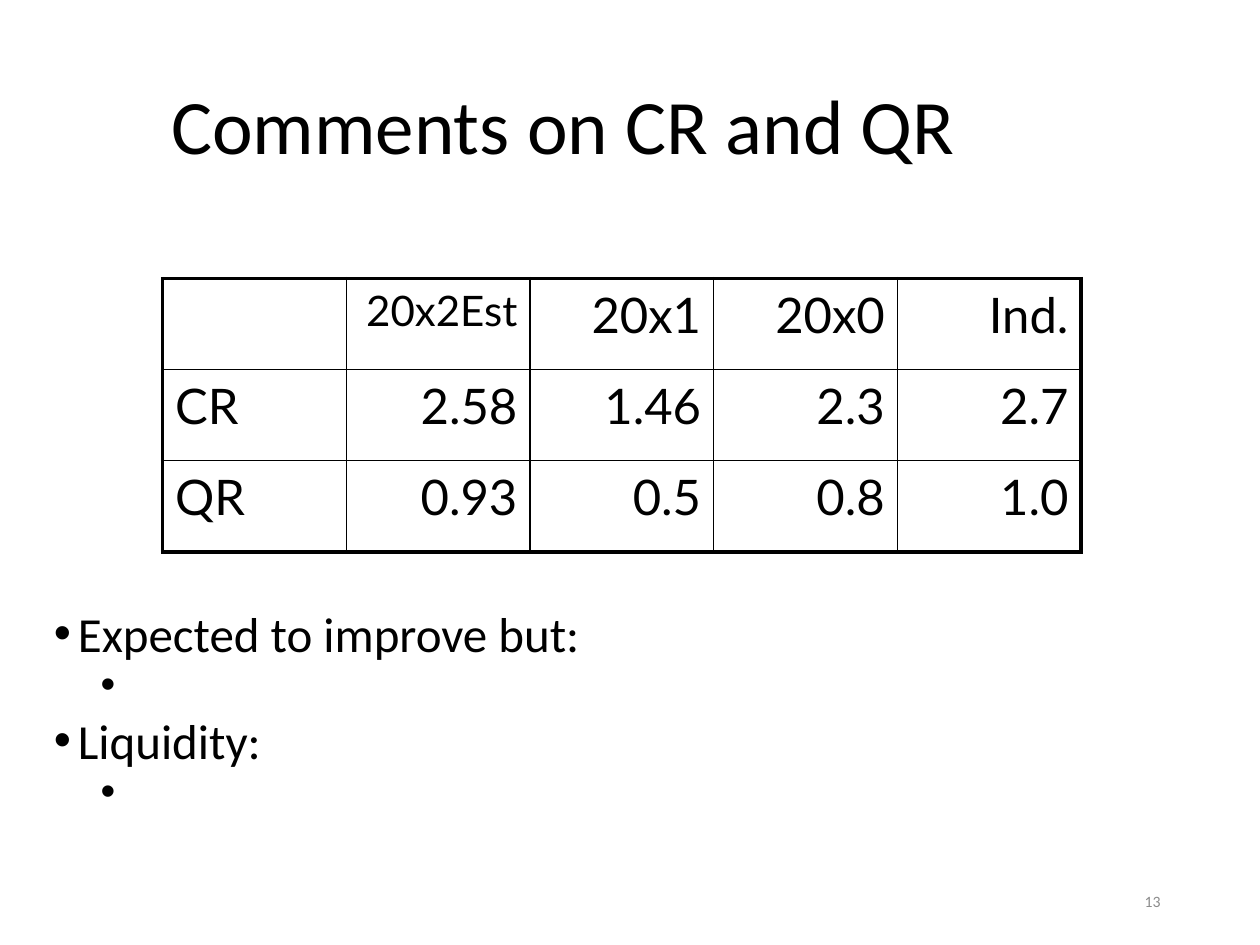
from dataclasses import dataclass

from lxml import etree
from pptx import Presentation
from pptx.dml.color import RGBColor
from pptx.enum.text import MSO_ANCHOR, MSO_AUTO_SIZE, PP_ALIGN
from pptx.oxml.ns import qn
from pptx.util import Inches, Pt

LEFT, RIGHT = PP_ALIGN.LEFT, PP_ALIGN.RIGHT
TOP, MIDDLE = MSO_ANCHOR.TOP, MSO_ANCHOR.MIDDLE
NO_AUTOFIT = MSO_AUTO_SIZE.NONE
WIDTH, HEIGHT = Inches(10), Inches(7.5)
TITLE_ONLY = 5


@dataclass(frozen=True)
class Theme:
    text_font: str = "Calibri"
    table_font: str = "Lato"
    ink: str = "000000"
    muted: str = "8C8C8C"
    title: int = 44
    main: int = 28
    detail: int = 24
    number: int = 9
    outer_line: float = 2.25
    inner_line: float = 1


THEME = Theme()
RATIOS = [
    ["", "20x2Est", "20x1", "20x0", "Ind."],
    ["CR", "2.58", "1.46", "2.3", "2.7"],
    ["QR", "0.93", "0.5", "0.8", "1.0"],
]
COMMENTS = [
    (0, "Expected to improve but:"),
    (1, " "),
    (0, "Liquidity:"),
    (1, " "),
]


def share(left, top, width, height):
    return (int(WIDTH * left / 100), int(HEIGHT * top / 100),
            int(WIDTH * width / 100), int(HEIGHT * height / 100))


def style_paragraph(paragraph, size, font=THEME.text_font, color=THEME.ink, align=LEFT):
    paragraph.alignment = align
    for run in paragraph.runs:
        run.font.name = font
        run.font.size = Pt(size)
        run.font.color.rgb = RGBColor.from_string(color)


def add_title(slide, text, box):
    title = slide.shapes.title
    title.left, title.top, title.width, title.height = box
    frame = title.text_frame
    frame.text = text
    frame.auto_size = NO_AUTOFIT
    frame.vertical_anchor = MIDDLE
    frame.paragraphs[0].line_spacing = 0.9
    style_paragraph(frame.paragraphs[0], THEME.title)


def add_text_frame(slide, box, anchor):
    frame = slide.shapes.add_textbox(*box).text_frame
    frame.word_wrap = True
    frame.vertical_anchor = anchor
    return frame


def set_border(cell, side, width):
    line = etree.SubElement(cell._tc.get_or_add_tcPr(), qn(f"a:ln{side}"), w=str(Pt(width)))
    fill = etree.SubElement(line, qn("a:solidFill"))
    etree.SubElement(fill, qn("a:srgbClr"), val=THEME.ink)


def add_ratio_table(slide, rows, box):
    row_count, column_count = len(rows), len(rows[0])
    table = slide.shapes.add_table(row_count, column_count, *box).table
    table.first_row = table.horz_banding = False
    for row, values in enumerate(rows):
        for column, value in enumerate(values):
            cell = table.cell(row, column)
            outer_sides = {
                "L": column == 0,
                "R": column == column_count - 1,
                "T": row == 0,
                "B": row == row_count - 1,
            }
            for side, outer in outer_sides.items():
                set_border(cell, side, THEME.outer_line if outer else THEME.inner_line)
            cell.fill.background()
            cell.text_frame.text = value
            size = THEME.detail if value.endswith("Est") else THEME.main
            style_paragraph(cell.text_frame.paragraphs[0], size, THEME.table_font,
                            align=RIGHT if column else LEFT)


def set_bullet(paragraph, indent, hanging):
    properties = paragraph._p.get_or_add_pPr()
    properties.set("marL", str(Inches(indent)))
    properties.set("indent", str(-Inches(hanging)))
    etree.SubElement(properties, qn("a:buFont"), typeface="Arial")
    etree.SubElement(properties, qn("a:buChar"), char="•")


def add_bullets(slide, items, box):
    frame = add_text_frame(slide, box, TOP)
    for index, (level, text) in enumerate(items):
        paragraph = frame.add_paragraph() if index else frame.paragraphs[0]
        paragraph.text = text
        paragraph.level = level
        set_bullet(paragraph, 0.56 if level else 0.19, 0.19)
        paragraph.line_spacing = 0.8
        if index:
            paragraph.space_before = Pt(3.8 if level else 7.5)
        style_paragraph(paragraph, THEME.detail if level else THEME.main)


def add_slide_number(slide, number, box):
    frame = add_text_frame(slide, box, MIDDLE)
    frame.text = number
    style_paragraph(frame.paragraphs[0], THEME.number, color=THEME.muted, align=RIGHT)


def main():
    presentation = Presentation()
    presentation.slide_width, presentation.slide_height = WIDTH, HEIGHT
    slide = presentation.slides.add_slide(presentation.slide_layouts[TITLE_ONLY])
    add_slide_number(slide, "13", share(70.6, 92.67, 22.5, 5.33))
    add_title(slide, "Comments on CR and QR", share(12.6, 3.07, 85.2, 21.33))
    add_ratio_table(slide, RATIOS, share(12.9, 29.47, 72.9, 28.93))
    add_bullets(slide, COMMENTS, share(3.3, 64.4, 94.6, 24.93))
    presentation.save("out.pptx")


if __name__ == "__main__":
    main()
